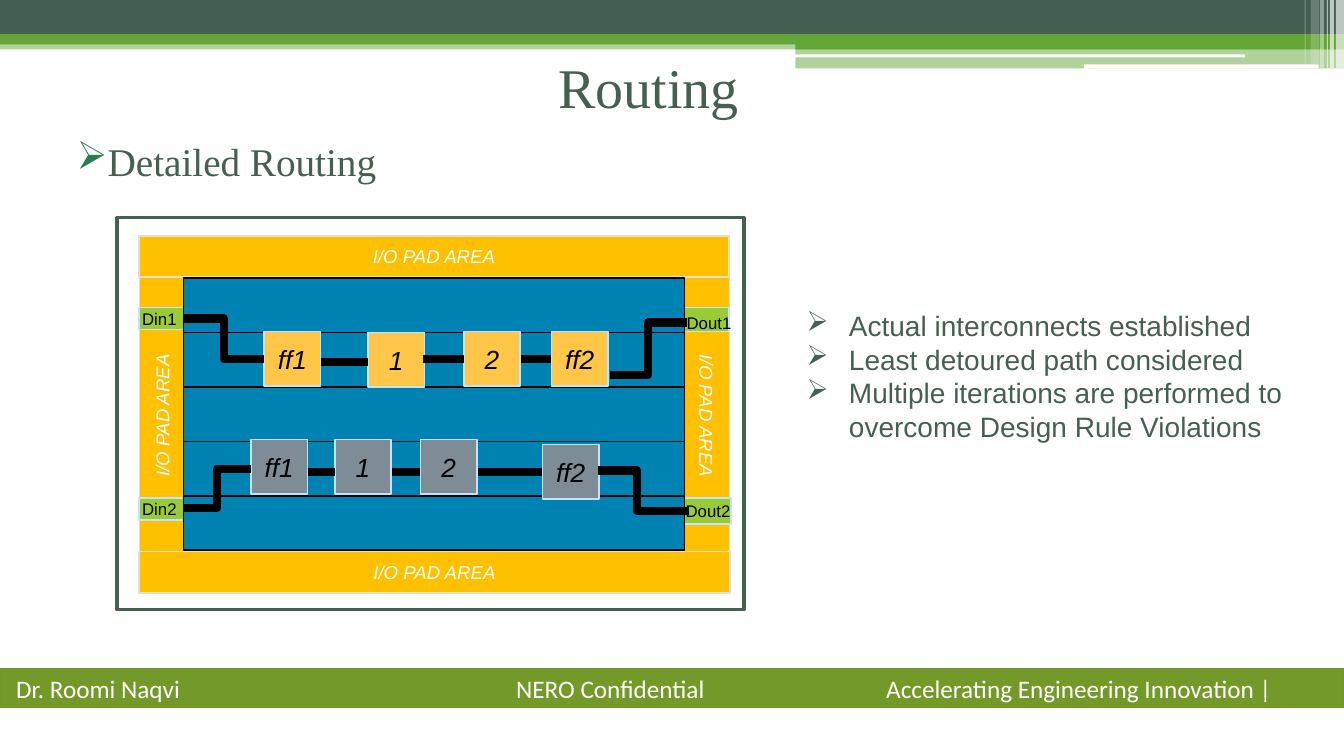
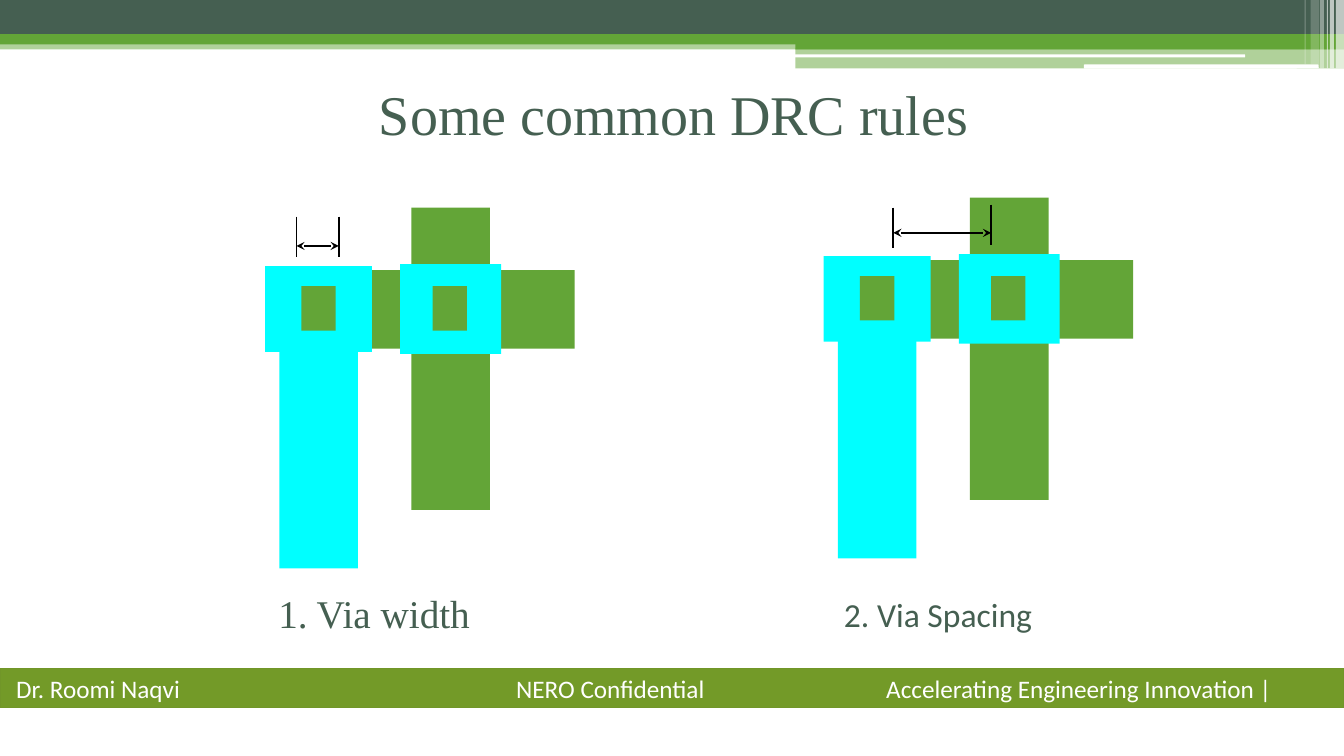
from dataclasses import dataclass

from lxml import etree
from pptx import Presentation
from pptx.dml.color import RGBColor
from pptx.enum.shapes import MSO_CONNECTOR, MSO_SHAPE
from pptx.enum.text import MSO_ANCHOR, PP_ALIGN
from pptx.oxml.ns import qn
from pptx.util import Emu, Pt

EMU_PER_PX = 9144  # 100 px to the inch
RECT, ROUNDED = MSO_SHAPE.RECTANGLE, MSO_SHAPE.ROUNDED_RECTANGLE
STRAIGHT, ELBOW = MSO_CONNECTOR.STRAIGHT, MSO_CONNECTOR.ELBOW
LEFT, CENTER = PP_ALIGN.LEFT, PP_ALIGN.CENTER
TOP, MIDDLE = MSO_ANCHOR.TOP, MSO_ANCHOR.MIDDLE


@dataclass(frozen=True)
class Theme:
    ink: str = "455F51"
    green: str = "63A537"
    white: str = "FFFFFF"
    black: str = "000000"
    footer: str = "739A28"
    footer_edge: str = "719629"
    bullet: str = "297D53"
    pad: str = "FFC000"
    pad_edge: str = "E2DFCC"
    port: str = "99CB38"
    cell_edge: str = "C0E3FE"
    core: str = "0082B3"
    amber_cell: str = "FFC647"
    grey_cell: str = "7E8D95"
    metal: str = "00FFFF"
    serif: str = "Times New Roman"
    sans: str = "Arial"
    plain: str = "Calibri"
    title_size: float = 40
    heading_size: float = 28
    caption_size: float = 24
    list_size: float = 20
    cell_size: float = 18.7
    footer_size: float = 18
    pad_size: float = 13.3
    port_size: float = 12
    thin: float = 1.25
    frame: float = 2.25
    wire: float = 6


THEME = Theme()


@dataclass(frozen=True)
class Box:
    left: int
    top: int
    width: int
    height: int

    def inner(self, left, top, width, height):
        """Box given relative to this one."""
        return Box(self.left + left, self.top + top, width, height)

    def point(self, x, y):
        return self.left + x, self.top + y

    def emu(self):
        return [px(n) for n in (self.left, self.top, self.width, self.height)]


PAGE = Box(0, 0, 1333, 750)


def px(length):
    return Emu(length * EMU_PER_PX)


def rgb(color):
    return RGBColor.from_string(color)


def add_box(page, box, fill, edge=None, weight=THEME.thin, alpha=None,
            rotation=0, kind=RECT):
    shape = page.shapes.add_shape(kind, *box.emu())
    shape.shadow.inherit = False
    shape.rotation = rotation
    shape.fill.solid()
    shape.fill.fore_color.rgb = rgb(fill)
    if alpha is not None:
        color = shape.element.spPr.find(qn("a:solidFill")).find(qn("a:srgbClr"))
        etree.SubElement(color, qn("a:alpha"), val=str(alpha * 1000))
    if edge:
        shape.line.color.rgb = rgb(edge)
        shape.line.width = Pt(weight)
    else:
        shape.line.fill.background()
    return shape


def add_line(page, start, end, weight=THEME.thin, arrows=False):
    """Straight line on a level or plumb run, elbow when both ends differ."""
    kind = STRAIGHT if start[0] == end[0] or start[1] == end[1] else ELBOW
    line = page.shapes.add_connector(kind, *map(px, start + end))
    line.line.color.rgb = rgb(THEME.black)
    line.line.width = Pt(weight)
    properties = line.element.spPr
    if arrows:
        stroke = properties.find(qn("a:ln"))
        for tip in ("a:headEnd", "a:tailEnd"):
            etree.SubElement(stroke, qn(tip), type="stealth")
    etree.SubElement(properties, qn("a:effectLst"))


def write(shape, *lines, font=THEME.sans, size=THEME.list_size, color=THEME.ink,
          italic=False, align=LEFT, anchor=TOP, insets=(0, 0),
          bullet=None, bullet_color=THEME.ink, indent=0, tabs=()):
    frame = shape.text_frame
    frame.word_wrap = True
    frame.vertical_anchor = anchor
    frame.margin_left = frame.margin_right = px(insets[0])
    frame.margin_top = frame.margin_bottom = px(insets[1])
    for index, line in enumerate(lines):
        para = frame.add_paragraph() if index else frame.paragraphs[0]
        para.alignment = align
        span = para.add_run()
        span.text = line
        span.font.name = font
        span.font.size = Pt(size)
        span.font.italic = italic
        span.font.color.rgb = rgb(color)
        layout = para._p.get_or_add_pPr()
        if bullet:
            layout.set("marL", str(px(indent)))
            layout.set("indent", str(-px(indent)))
            tint = etree.SubElement(layout, qn("a:buClr"))
            etree.SubElement(tint, qn("a:srgbClr"), val=bullet_color)
            etree.SubElement(layout, qn("a:buChar"), char=bullet)
        if tabs:
            stops = etree.SubElement(layout, qn("a:tabLst"))
            for stop in tabs:
                etree.SubElement(stops, qn("a:tab"), pos=str(px(stop)), algn="l")


def add_text(page, box, *lines, **style):
    write(page.shapes.add_textbox(*box.emu()), *lines, **style)


def add_header(page, box):
    bands = [
        (0, 40, 1333, 9, THEME.green, 50, RECT),
        (0, 0, 1333, 34, THEME.ink, None, RECT),
        (0, 34, 1333, 10, THEME.green, None, RECT),
        (789, 39, 544, 10, THEME.green, None, RECT),
        (789, 48, 544, 20, THEME.green, 50, RECT),
        (788, 54, 447, 3, THEME.white, None, ROUNDED),
        (1075, 64, 233, 4, THEME.white, None, ROUNDED),
    ]
    stripes = [(1325, 8, 68, 65), (1319, 4, 68, 65), (1316, 1, 68, 60),
               (1309, 4, 68, 40), (1300, 8, 64, 20), (1294, 1, 64, 30)]
    bands += [(left, 0, width, height, THEME.white, alpha, RECT)
              for left, width, height, alpha in stripes]
    for *place, color, alpha, kind in bands:
        add_box(page, box.inner(*place), color, alpha=alpha, kind=kind)


def add_footer(page, box):
    bar = add_box(page, box, THEME.footer, THEME.footer_edge, weight=1)
    write(bar, "Dr. Roomi Naqvi\tNERO Confidential\tAccelerating Engineering Innovation |",
          font=THEME.plain, size=THEME.footer_size, color=THEME.white,
          anchor=MIDDLE, insets=(16, 5), tabs=(496, 863))


def add_page(deck, title, title_box):
    page = deck.slides.add_slide(deck.slide_layouts[6])
    add_header(page, PAGE)
    add_footer(page, PAGE.inner(0, 663, 1333, 39))
    add_text(page, title_box, title, font=THEME.serif, size=THEME.title_size,
             align=CENTER, anchor=MIDDLE)
    return page


def add_pads(page, box):
    pads = [(409, 174, 352, 45, 90), (-132, 174, 353, 44, 270),
            (22, 18, 585, 41, 0), (22, 331, 586, 41, 0)]
    for *place, rotation in pads:
        pad = add_box(page, box.inner(*place), THEME.pad, THEME.pad_edge,
                      rotation=rotation)
        write(pad, "I/O PAD AREA", size=THEME.pad_size, color=THEME.white,
              italic=True, align=CENTER, anchor=MIDDLE, insets=(10, 5))


def add_ports(page, box):
    ports = [("Din1", (22, 89, 44, 22), (25, 90)),
             ("Din2", (22, 278, 44, 22), (25, 279)),
             ("Dout1", (562, 89, 45, 24), (565, 94)),
             ("Dout2", (562, 278, 47, 26), (564, 281))]
    for name, place, corner in ports:
        add_box(page, box.inner(*place), THEME.port, THEME.cell_edge)
        add_text(page, box.inner(*corner, 48, 20), name,
                 size=THEME.port_size, color=THEME.black)


def add_net(page, box, color, corners, wires):
    """Chain of four cells, joined by wires to each other and to the ports."""
    for name, corner in zip(("ff1", "1", "2", "ff2"), corners):
        cell = add_box(page, box.inner(*corner, 56, 54), color, THEME.cell_edge)
        write(cell, name, size=THEME.cell_size, color=THEME.black, italic=True,
              align=CENTER, anchor=MIDDLE, insets=(5, 5))
    for x1, y1, x2, y2 in wires:
        add_line(page, box.point(x1, y1), box.point(x2, y2), THEME.wire)


def add_chip(page, box):
    add_box(page, box, THEME.white, THEME.ink, weight=THEME.frame)
    add_pads(page, box)
    add_ports(page, box)
    row_height = 54
    for row in range(5):
        add_box(page, box.inner(66, 60 + row * row_height, 497, row_height),
                THEME.core, THEME.black)
    add_net(page, box, THEME.amber_cell,
            [(146, 113), (249, 114), (344, 113), (431, 113)],
            [(66, 100, 146, 140), (202, 143, 249, 143), (304, 140, 344, 140),
             (401, 140, 431, 140), (565, 104, 489, 156)])
    add_net(page, box, THEME.grey_cell,
            [(133, 220), (216, 220), (301, 220), (422, 225)],
            [(133, 249, 66, 288), (189, 252, 216, 252), (273, 252, 301, 252),
             (358, 252, 422, 252), (477, 251, 555, 291), (536, 291, 567, 291)])


def add_vias(page, box):
    """Two metal layers crossing, with a via at each joint."""
    layers = [((145, 0, 78, 300), THEME.green), ((14, 58, 78, 300), THEME.metal),
              ((7, 62, 300, 78), THEME.green), ((0, 58, 106, 85), THEME.metal),
              ((36, 78, 34, 44), THEME.green), ((134, 56, 100, 89), THEME.metal),
              ((166, 78, 34, 44), THEME.green)]
    for place, color in layers:
        add_box(page, box.inner(*place), color)


def add_dimension(page, box, ticks, level):
    tick_height = 40
    for x, top in ticks:
        add_line(page, box.point(x, top), box.point(x, top + tick_height))
    (start, _), (end, _) = ticks
    add_line(page, box.point(start, level), box.point(end, level), arrows=True)


def add_rule(page, box, caption, caption_corner, ticks, level, **style):
    add_vias(page, box)
    add_dimension(page, box, ticks, level)
    add_text(page, box.inner(*caption_corner, 249, 70), caption,
             insets=(13, 13), **style)


def build_routing(deck):
    page = add_page(deck, "Routing", PAGE.inner(20, 44, 1247, 82))
    add_text(page, PAGE.inner(76, 136, 1200, 50), "Detailed Routing",
             font=THEME.serif, size=THEME.heading_size,
             bullet="➢", bullet_color=THEME.bullet, indent=27)
    add_chip(page, PAGE.inner(116, 216, 622, 389))
    add_text(page, PAGE.inner(800, 306, 533, 135),
             "Actual interconnects established",
             "Least detoured path considered",
             "Multiple iterations are performed to overcome Design Rule Violations",
             bullet="➢", indent=42)


def build_rules(deck):
    page = add_page(deck, "Some common DRC rules", PAGE.inner(68, 54, 1200, 117))
    add_rule(page, PAGE.inner(263, 206, 307, 440), "1. Via width", (0, 366),
             ticks=[(31, 9), (73, 9)], level=38,
             font=THEME.serif, size=THEME.heading_size)
    add_rule(page, PAGE.inner(817, 196, 307, 450), "2. Via Spacing", (7, 380),
             ticks=[(69, 10), (166, 7)], level=35,
             font=THEME.plain, size=THEME.caption_size)


def main():
    deck = Presentation()
    deck.slide_width, deck.slide_height = px(PAGE.width), px(PAGE.height)
    build_routing(deck)
    build_rules(deck)
    deck.save("out.pptx")


if __name__ == "__main__":
    main()
